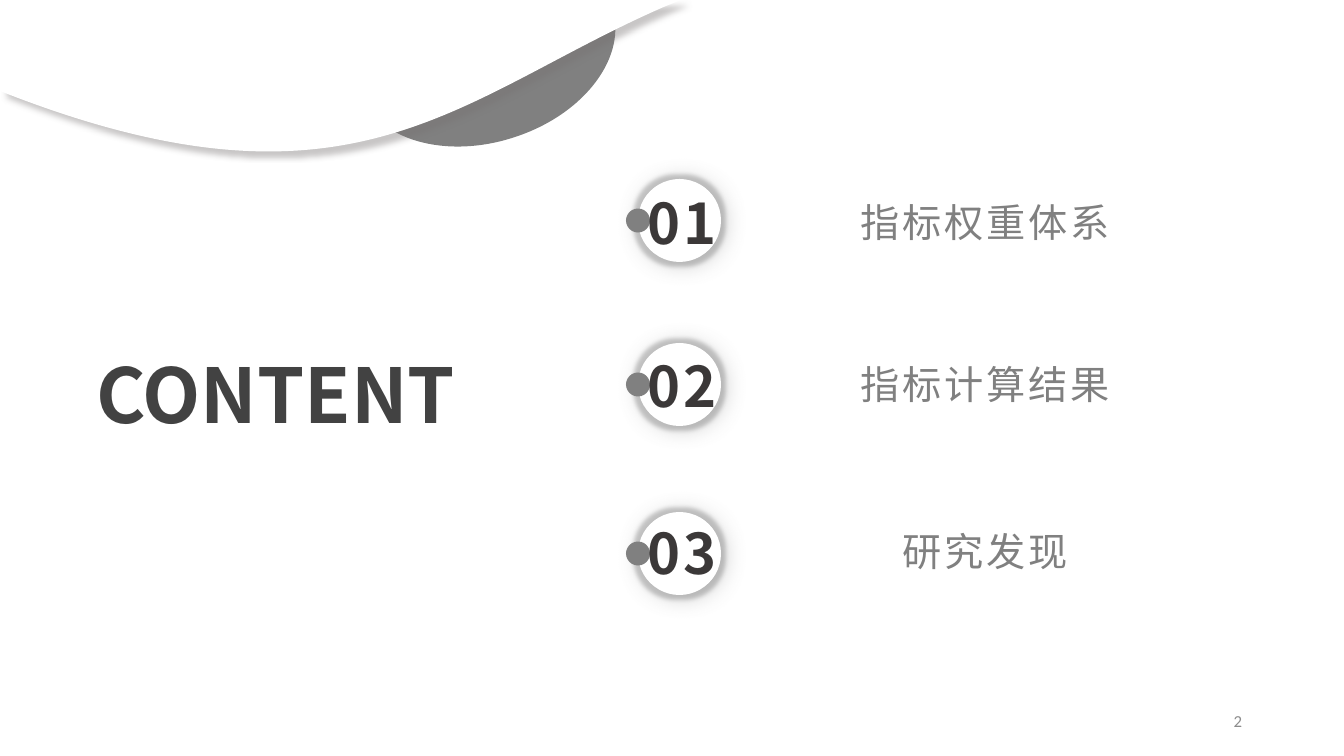
from lxml.etree import SubElement
from pptx import Presentation
from pptx.dml.color import RGBColor
from pptx.enum.shapes import MSO_SHAPE
from pptx.enum.text import MSO_ANCHOR, MSO_AUTO_SIZE, PP_ALIGN
from pptx.oxml.ns import qn
from pptx.util import Pt

TITLE = "CONTENT"
PAGE_NUMBER = "2"
# number, label, then the tops of circle, number and label
ITEMS = [
    ("01", "指标权重体系", 179, 188, 198),
    ("02", "指标计算结果", 343, 351, 360),
    ("03", "研究发现", 512, 518, 527),
]
# Each outline: its box, then its parts. One point is a corner, three are a Bézier curve.
LEAF_BOX = (356, -27, 266, 169)
LEAF = [[(392, 0)], [(609, 0)], [(612, 8)],
        [(628, 56), (585, 114), (515, 137)],
        [(446, 160), (376, 140), (360, 92)],
        [(350, 61), (363, 27), (391, 1)]]
WAVE_BOX = (0, 0, 681, 151)
WAVE = [[(0, 0)], [(681, 0)], [(666, 6)], [(458, 96), (355, 231), (0, 91)]]

COLORS = {"white": "FFFFFF", "gray": "808080", "title": "424242",
          "number": "3B3838", "page": "8C8C8C", "wave_shadow": "767171"}
FONT = "Noto Sans CJK SC"
SCALE = 914400 / 100.8
CIRCLE, DOT = 83, 24


def px(*lengths):
    return [round(length * SCALE) for length in lengths]


def paint(shape, color):
    shape.shadow.inherit = False
    shape.fill.solid()
    shape.fill.fore_color.rgb = RGBColor.from_string(COLORS[color])
    shape.line.fill.background()


def add_effect(shape, kind, color, **attributes):
    effects = shape._element.spPr.find(qn("a:effectLst"))
    effect = SubElement(effects, qn(kind), **attributes)
    tint = SubElement(effect, qn("a:srgbClr"), val=COLORS[color])
    SubElement(tint, qn("a:alpha"), val="40000")


def add_shadow(shape, color, blur, distance, angle):
    add_effect(shape, "a:outerShdw", color, blurRad=str(Pt(blur)), dist=str(Pt(distance)),
               dir=str(angle * 60000), algn="tl", rotWithShape="0")


def add_outline(shapes, box, outline, color):
    """Draw a freeform over the box, with real curves in its path."""
    left, top, width, height = box
    right, bottom = left + width, top + height
    builder = shapes.build_freeform(left, top, scale=SCALE)
    builder.add_line_segments([(right, top), (right, bottom), (left, bottom)], close=True)
    shape = builder.convert_to_shape()
    outline_path = next(shape._element.iter(qn("a:path")))
    for command in list(outline_path):
        outline_path.remove(command)
    for index, points in enumerate(outline):
        kind = "a:cubicBezTo" if len(points) == 3 else "a:lnTo" if index else "a:moveTo"
        command = SubElement(outline_path, qn(kind))
        for x, y in points:
            SubElement(command, qn("a:pt"), x=str(x - left), y=str(y - top))
    SubElement(outline_path, qn("a:close"))
    paint(shape, color)
    return shape


def add_ellipse(shapes, left, top, size, color):
    shape = shapes.add_shape(MSO_SHAPE.OVAL, *px(left, top, size, size))
    paint(shape, color)
    return shape


def write(shape, text, size, color, align, font=FONT, bold=False, spacing=0):
    paragraph = shape.text_frame.paragraphs[0]
    paragraph.text = text
    paragraph.alignment = align
    run = paragraph.runs[0]
    run.font.size = Pt(size)
    run.font.bold = bold
    run.font.name = font
    run.font.color.rgb = RGBColor.from_string(COLORS[color])
    properties = run._r.get_or_add_rPr()
    SubElement(properties, qn("a:ea"), typeface=font)
    if spacing:
        properties.set("spc", str(spacing * 100))


def add_centered_text(shapes, box, text, size, color, bold=False):
    shape = shapes.add_textbox(*px(*box))
    frame = shape.text_frame
    frame.word_wrap = True
    frame.auto_size = MSO_AUTO_SIZE.SHAPE_TO_FIT_TEXT
    frame.vertical_anchor = MSO_ANCHOR.MIDDLE
    frame.margin_left = frame.margin_right = frame.margin_top = frame.margin_bottom = 0
    write(shape, text, size, color, PP_ALIGN.CENTER, bold=bold, spacing=2)


def main():
    presentation = Presentation()
    presentation.slide_width, presentation.slide_height = px(1344, 756)
    slide = presentation.slides.add_slide(presentation.slide_layouts[5])
    shapes = slide.shapes

    title = shapes.title
    title.left, title.top, title.width, title.height = px(86, 343, 402, 102)
    title.text_frame.word_wrap = False
    title.text_frame.auto_size = MSO_AUTO_SIZE.SHAPE_TO_FIT_TEXT
    title.text_frame.vertical_anchor = MSO_ANCHOR.TOP
    write(title, TITLE, 54, "title", PP_ALIGN.LEFT, bold=True)

    add_outline(shapes, LEAF_BOX, LEAF, "gray")
    wave = add_outline(shapes, WAVE_BOX, WAVE, "white")
    add_shadow(wave, "wave_shadow", blur=4, distance=6, angle=45)

    for number, label, circle_top, number_top, label_top in ITEMS:
        badge = shapes.add_group_shape().shapes
        circle = add_ellipse(badge, 638, circle_top, CIRCLE, "white")
        add_effect(circle, "a:glow", "gray", rad=str(Pt(6)))
        add_shadow(circle, "gray", blur=16, distance=2, angle=30)
        add_ellipse(badge, 626, circle_top + (CIRCLE - DOT) / 2, DOT, "gray")
        add_centered_text(badge, (624, number_top, 116, 68), number, 40, "number", bold=True)
        add_centered_text(shapes, (668, label_top, 634, 47), label, 28, "gray")

    page = shapes.add_textbox(*px(950, 701, 302, 40))
    page.text_frame.word_wrap = True
    page.text_frame.vertical_anchor = MSO_ANCHOR.MIDDLE
    write(page, PAGE_NUMBER, 12, "page", PP_ALIGN.RIGHT, font="Calibri")

    presentation.save("out.pptx")


if __name__ == "__main__":
    main()
